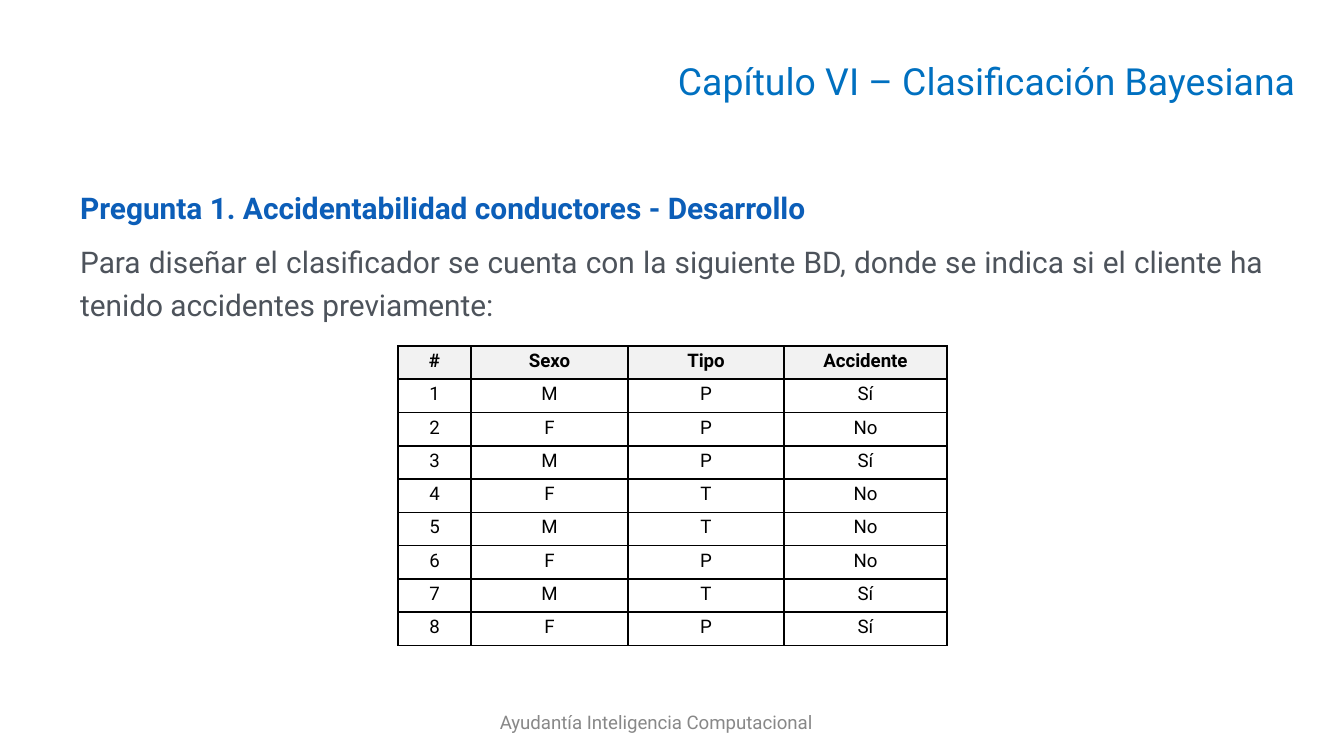
from lxml.etree import SubElement
from pptx import Presentation
from pptx.dml.color import RGBColor
from pptx.enum.text import MSO_ANCHOR, PP_ALIGN
from pptx.oxml.ns import qn
from pptx.util import Emu, Pt

SCALE = 914400 / 134.4
FONT = "Roboto"

TITLE = [("Capítulo VI – Clasificación Bayesiana", 20, "0070C0", False)]
BODY = [
    ("Pregunta 1. Accidentabilidad conductores - Desarrollo", 16, "0C5EB8", True),
    ("Para diseñar el clasificador se cuenta con la siguiente BD, donde se indica "
     "si el cliente ha tenido accidentes previamente:", 16, "4D535B", False),
]
FOOTER = [("Ayudantía Inteligencia Computacional", 10, "888888", False)]

HEADERS = ["#", "Sexo", "Tipo", "Accidente"]
DRIVERS = [
    ("M", "P", "Sí"),
    ("F", "P", "No"),
    ("M", "P", "Sí"),
    ("F", "T", "No"),
    ("M", "T", "No"),
    ("F", "P", "No"),
    ("M", "T", "Sí"),
    ("F", "P", "Sí"),
]
COLUMN_WIDTHS = [73, 157, 156, 163]
TABLE_LEFT, TABLE_TOP, TABLE_HEIGHT = 398, 346, 300


def px(length):
    return Emu(round(length * SCALE))


def color(value):
    return RGBColor.from_string(value)


def style(paragraph, size, ink, bold, align, spacing):
    paragraph.alignment = align
    paragraph.line_spacing = spacing
    paragraph.font.name = FONT
    paragraph.font.size = Pt(size)
    paragraph.font.bold = bold
    paragraph.font.color.rgb = color(ink)


def add_text(slide, box, lines, align, anchor=MSO_ANCHOR.MIDDLE, spacing=1.0, gap=0):
    frame = slide.shapes.add_textbox(*map(px, box)).text_frame
    frame.word_wrap = True
    frame.vertical_anchor = anchor
    for index, (text, size, ink, bold) in enumerate(lines):
        paragraph = frame.add_paragraph() if index else frame.paragraphs[0]
        paragraph.text = text
        style(paragraph, size, ink, bold, align, spacing)
        paragraph.space_before = Pt(gap if index else 0)


def add_borders(cell):
    properties = cell._tc.get_or_add_tcPr()
    for position, side in enumerate(("a:lnL", "a:lnR", "a:lnT", "a:lnB")):
        line = properties.makeelement(qn(side), {"w": str(Pt(1))})
        properties.insert(position, line)
        fill = SubElement(line, qn("a:solidFill"))
        SubElement(fill, qn("a:srgbClr"), val="000000")


def fill_cell(cell, text, is_header):
    cell.text = text
    cell.margin_left = cell.margin_right = px(10)
    cell.margin_top = cell.margin_bottom = 0
    style(cell.text_frame.paragraphs[0], 10, "000000", is_header, PP_ALIGN.CENTER, 1.2)
    if is_header:
        cell.fill.solid()
        cell.fill.fore_color.rgb = color("F2F2F2")
    else:
        cell.fill.background()
    add_borders(cell)


def add_drivers_table(slide):
    rows = [HEADERS] + [(str(n), *driver) for n, driver in enumerate(DRIVERS, 1)]
    table = slide.shapes.add_table(
        len(rows), len(HEADERS), px(TABLE_LEFT), px(TABLE_TOP),
        px(sum(COLUMN_WIDTHS)), px(TABLE_HEIGHT)).table
    for column, width in zip(table.columns, COLUMN_WIDTHS):
        column.width = px(width)
    for r, values in enumerate(rows):
        for c, text in enumerate(values):
            fill_cell(table.cell(r, c), text, r == 0)


def main():
    deck = Presentation()
    deck.slide_width, deck.slide_height = px(1344), px(756)
    slide = deck.slides.add_slide(deck.slide_layouts[6])
    add_text(slide, (281, 39, 1028, 83), TITLE, PP_ALIGN.RIGHT)
    add_text(slide, (67, 176, 1210, 499), BODY, PP_ALIGN.JUSTIFY, MSO_ANCHOR.TOP, 1.2, 6)
    add_text(slide, (275, 696, 762, 53), FOOTER, PP_ALIGN.CENTER)
    add_drivers_table(slide)
    deck.save("out.pptx")


if __name__ == "__main__":
    main()
